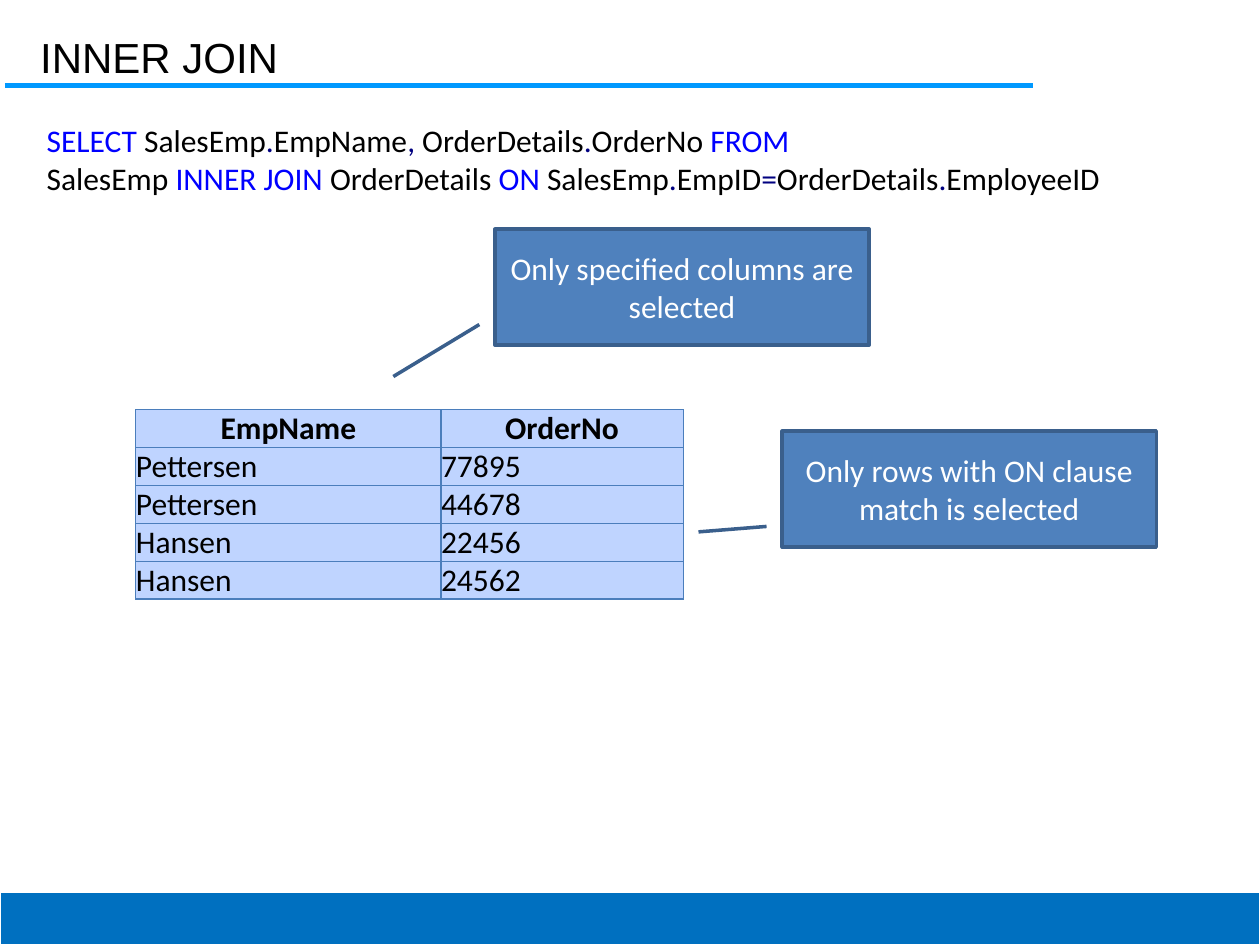
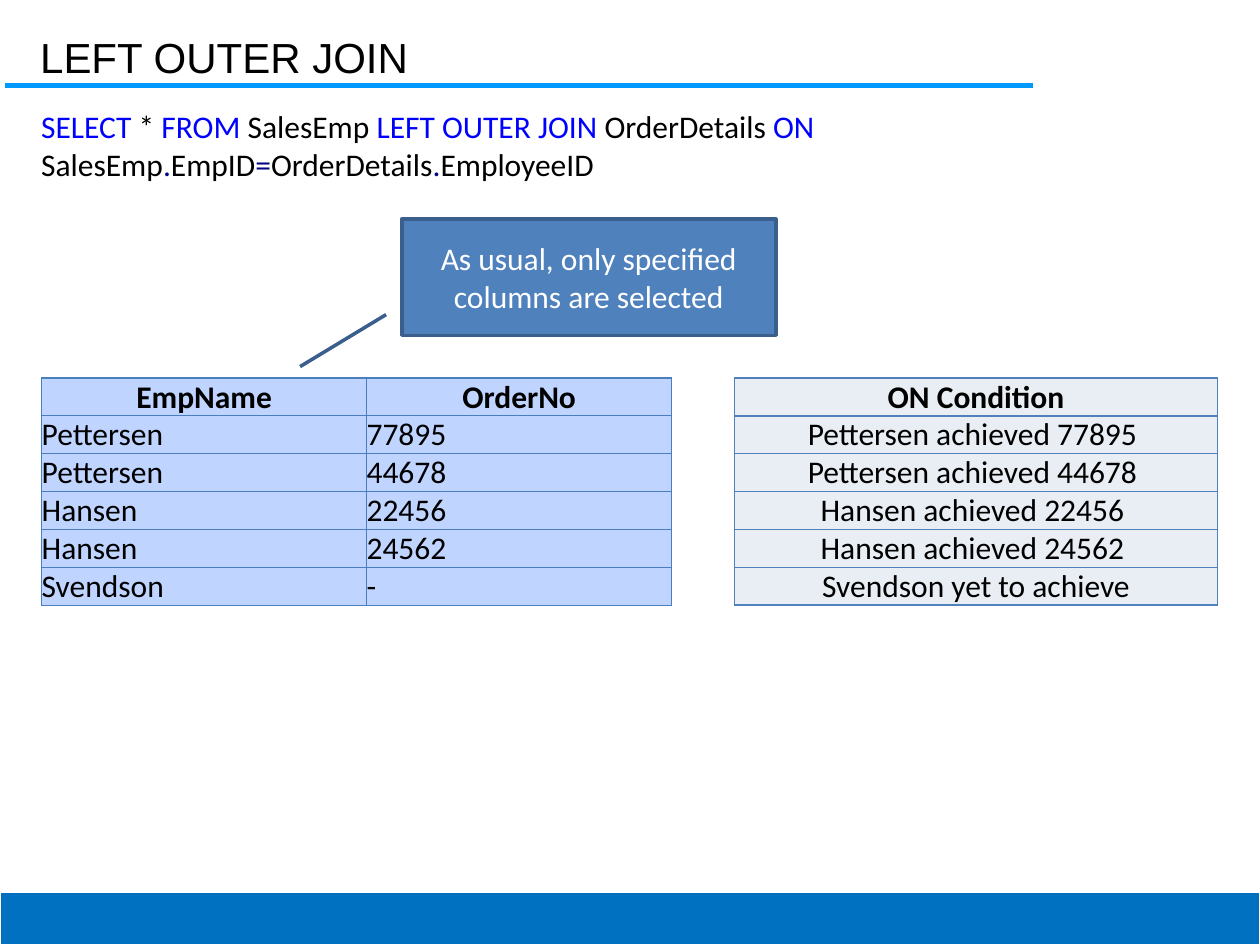
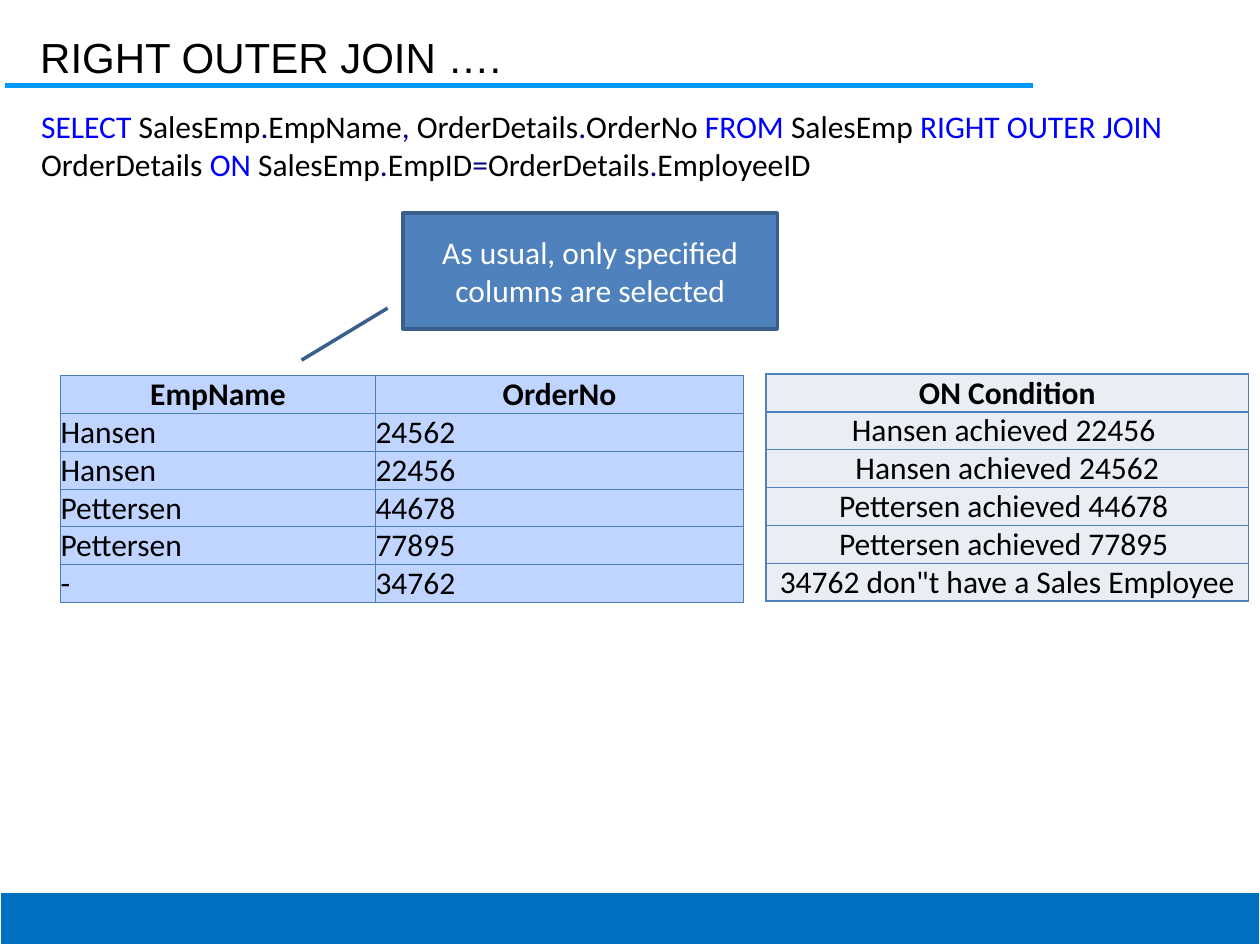
from lxml import etree
from pptx import Presentation
from pptx import util as u
from pptx.dml.color import RGBColor
from pptx.enum import shapes, text
from pptx.oxml import ns

BLUE, NAVY, BLACK, WHITE = "0000FF", "000080", "000000", "FFFFFF"
RULE, BAND, BOX, EDGE = "0099FF", "0070C0", "4F81BD", "3A5F8C"
ICE, GRAY, GRID = "BFD4FF", "E9EDF4", "4B7EBC"
BODY = {"name": "Calibri", "size": u.Pt(18), "bold": False}
HEAD = {"name": "Calibri", "size": u.Pt(18), "bold": True}
TITLE = {"name": "Arial", "size": u.Pt(24), "bold": False}
MID, LEFT = text.PP_ALIGN.CENTER, text.PP_ALIGN.LEFT


def paint(fill, color):
    fill.solid()
    fill.fore_color.rgb = RGBColor.from_string(color)


def write(para, words, look, color, align=LEFT):
    para.alignment = align
    run = para.add_run()
    run.text = words
    for key, val in look.items():
        setattr(run.font, key, val)
    paint(run.font.fill, color)


LINK = "SalesEmp|.|EmpID|=|OrderDetails|.|EmployeeID"
PICK = "SELECT |SalesEmp|.|EmpName|, |OrderDetails|.|OrderNo |FROM"
NAMES = ["EmpName", "OrderNo"]
SALES = [["Pettersen", "77895"], ["Pettersen", "44678"],
         ["Hansen", "22456"], ["Hansen", "24562"]]
USUAL = "As usual, only specified columns are selected"
SLOPE = [0.822, -0.042, 1.27, -0.272]

pages = [
    {"title": "INNER JOIN",
     "place": (0.69, 2.31, 22.63, 1.8),
     "query": [PICK, "SalesEmp |INNER JOIN |OrderDetails |ON |" + LINK],
     "tables": [(2.74, 8.26, [6.15, 4.88], ICE, GRID, 0.75, LEFT,
                 [NAMES] + SALES)],
     "notes": [(9.98, 4.62, SLOPE, "Only specified columns are selected"),
               (15.77, 8.69, [0.822, -0.042, 0.869, -0.224],
                "Only rows with ON clause match is selected")]},
    {"title": "LEFT OUTER JOIN",
     "place": (0.58, 2.03, 23.98, 1.8),
     "query": ["SELECT| * |FROM |SalesEmp |LEFT OUTER JOIN |OrderDetails |ON |"
               + LINK],
     "tables": [(0.84, 7.62, [6.55, 6.15], ICE, GRID, 0.75, LEFT,
                 [NAMES] + SALES + [["Svendson", "-"]]),
                (14.81, 7.62, [9.73], GRAY, BOX, 1, MID,
                 [["ON Condition"], ["Pettersen achieved 77895 "],
                  ["Pettersen achieved 44678 "], ["Hansen achieved 22456 "],
                  ["Hansen achieved 24562 "], ["Svendson yet to achieve"]])],
     "notes": [(8.1, 4.42, SLOPE, USUAL)]},
    {"title": "RIGHT OUTER JOIN ….",
     "place": (0.58, 2.03, 23.98, 1.8),
     "query": [PICK + " |SalesEmp |RIGHT OUTER JOIN |OrderDetails |ON |" + LINK],
     "tables": [(1.22, 7.57, [6.35, 7.42], ICE, GRID, 0.75, LEFT,
                 [NAMES] + SALES[::-1] + [["-", "34762"]]),
                (15.44, 7.54, [9.73], GRAY, BOX, 1, MID,
                 [["ON Condition"], ["Hansen achieved 22456 "],
                  ["Hansen achieved 24562"], ["Pettersen achieved 44678 "],
                  ["Pettersen achieved 77895 "],
                  ["34762 don\"t have a Sales Employee"]])],
     "notes": [(8.13, 4.29, SLOPE, USUAL)]},
]

deck = Presentation()
deck.slide_width, deck.slide_height = u.Cm(25.4), u.Cm(19.05)

for page in pages:
    slide = deck.slides.add_slide(deck.slide_layouts[5])
    items = slide.shapes

    rule = items.add_connector(shapes.MSO_CONNECTOR.STRAIGHT,
                               u.Cm(0.1), u.Cm(1.73), u.Cm(20.83), u.Cm(1.73))
    paint(rule.line.fill, RULE)
    rule.line.width = u.Pt(2.89)
    etree.SubElement(rule._element.spPr, ns.qn("a:effectLst"))

    title = items.title
    for key, val in {"left": 0.58, "top": 0.43, "width": 20.24,
                     "height": 1.02}.items():
        setattr(title, key, u.Cm(val))
    for key, val in {"margin_left": u.Cm(0.23), "margin_right": u.Cm(0.23),
                     "margin_top": u.Cm(0.2), "margin_bottom": 0,
                     "vertical_anchor": text.MSO_ANCHOR.TOP,
                     "auto_size": text.MSO_AUTO_SIZE.NONE}.items():
        setattr(title.text_frame, key, val)
    write(title.text_frame.paragraphs[0], page["title"], TITLE, BLACK)

    band = items.add_shape(shapes.MSO_SHAPE.RECTANGLE,
                           0, u.Cm(17.98), u.Cm(25.4), u.Cm(1.07))
    band.shadow.inherit = False
    paint(band.fill, BAND)
    paint(band.line.fill, WHITE)
    band.line.width = u.Pt(0.75)

    query = items.add_textbox(*map(u.Cm, page["place"])).text_frame
    query.word_wrap = True
    for row, line in enumerate(page["query"]):
        para = query.add_paragraph() if row else query.paragraphs[0]
        for part in line.split("|"):
            mark = part.strip() in (".", ",", "=")
            color = BLUE if part.isupper() else NAVY if mark else BLACK
            write(para, part, BODY, color)

    for left, top, cols, fill, edge, thick, align, data in page["tables"]:
        frame = items.add_table(len(data), len(cols), u.Cm(left), u.Cm(top),
                                u.Cm(sum(cols)), u.Cm(0.76 * len(data)))
        table = frame.table
        table.first_row = table.horz_banding = False
        for col, wide in zip(table.columns, cols):
            col.width = u.Cm(wide)
        for row, line in enumerate(data):
            for col, words in enumerate(line):
                cell = table.cell(row, col)
                for side in ("left", "right", "top", "bottom"):
                    setattr(cell, "margin_" + side, 0)
                cell.vertical_anchor = text.MSO_ANCHOR.MIDDLE
                props = cell._tc.get_or_add_tcPr()
                for side in "LRTB":
                    ln = etree.SubElement(props, ns.qn("a:ln" + side),
                                          w=str(u.Pt(thick)))
                    solid = etree.SubElement(ln, ns.qn("a:solidFill"))
                    etree.SubElement(solid, ns.qn("a:srgbClr"), val=edge)
                paint(cell.fill, fill)
                write(cell.text_frame.paragraphs[0], words,
                      BODY if row else HEAD, BLACK, align if row else MID)

    for left, top, slope, words in page["notes"]:
        note = items.add_shape(shapes.MSO_SHAPE.LINE_CALLOUT_1, u.Cm(left),
                               u.Cm(top), u.Cm(7.54), u.Cm(2.34))
        note.shadow.inherit = False
        for spot, val in enumerate(slope):
            note.adjustments[spot] = val
        paint(note.fill, BOX)
        paint(note.line.fill, EDGE)
        note.line.width = u.Pt(2)
        note.text_frame.word_wrap = True
        note.text_frame.vertical_anchor = text.MSO_ANCHOR.MIDDLE
        write(note.text_frame.paragraphs[0], words, BODY, WHITE, MID)

deck.save("out.pptx")
